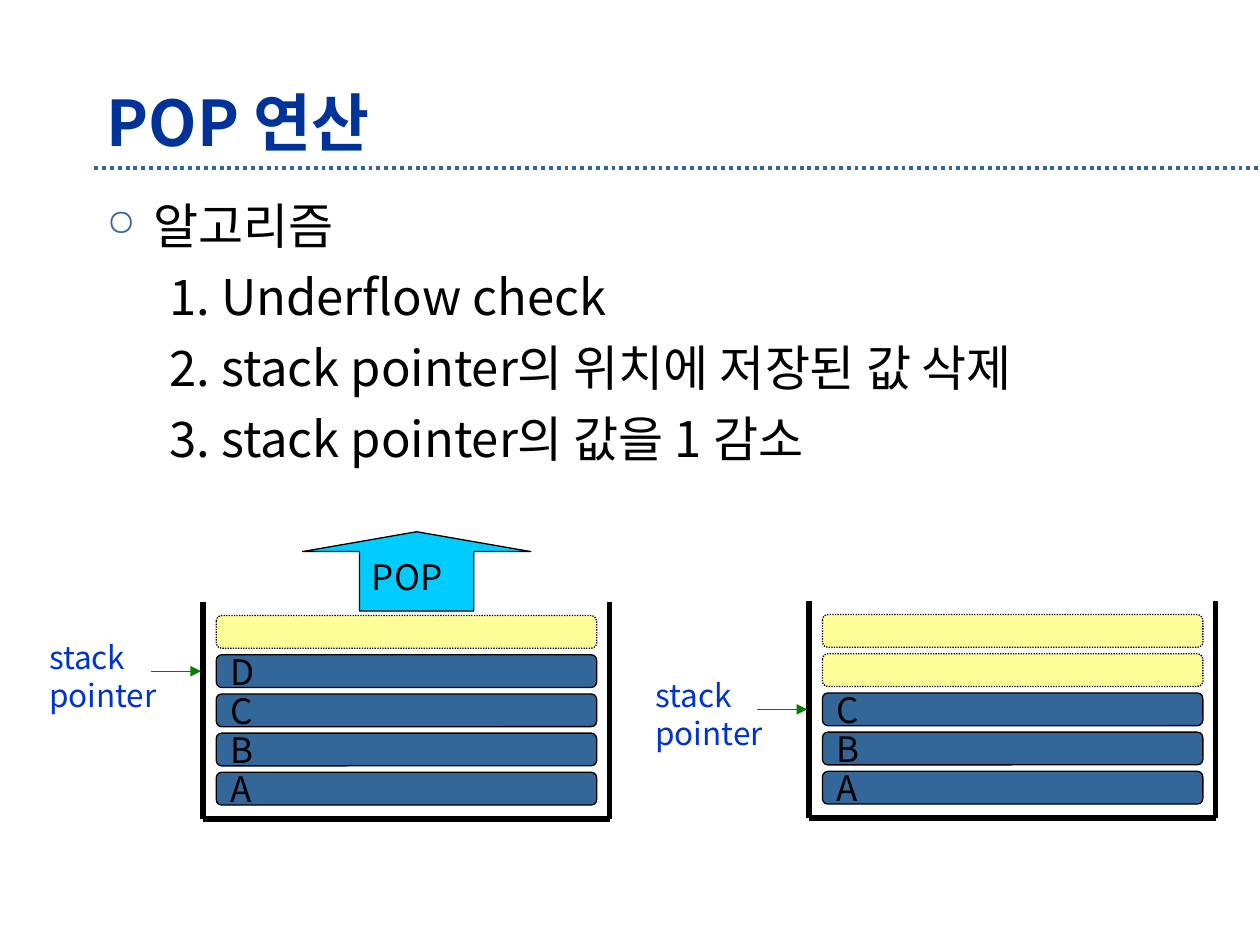
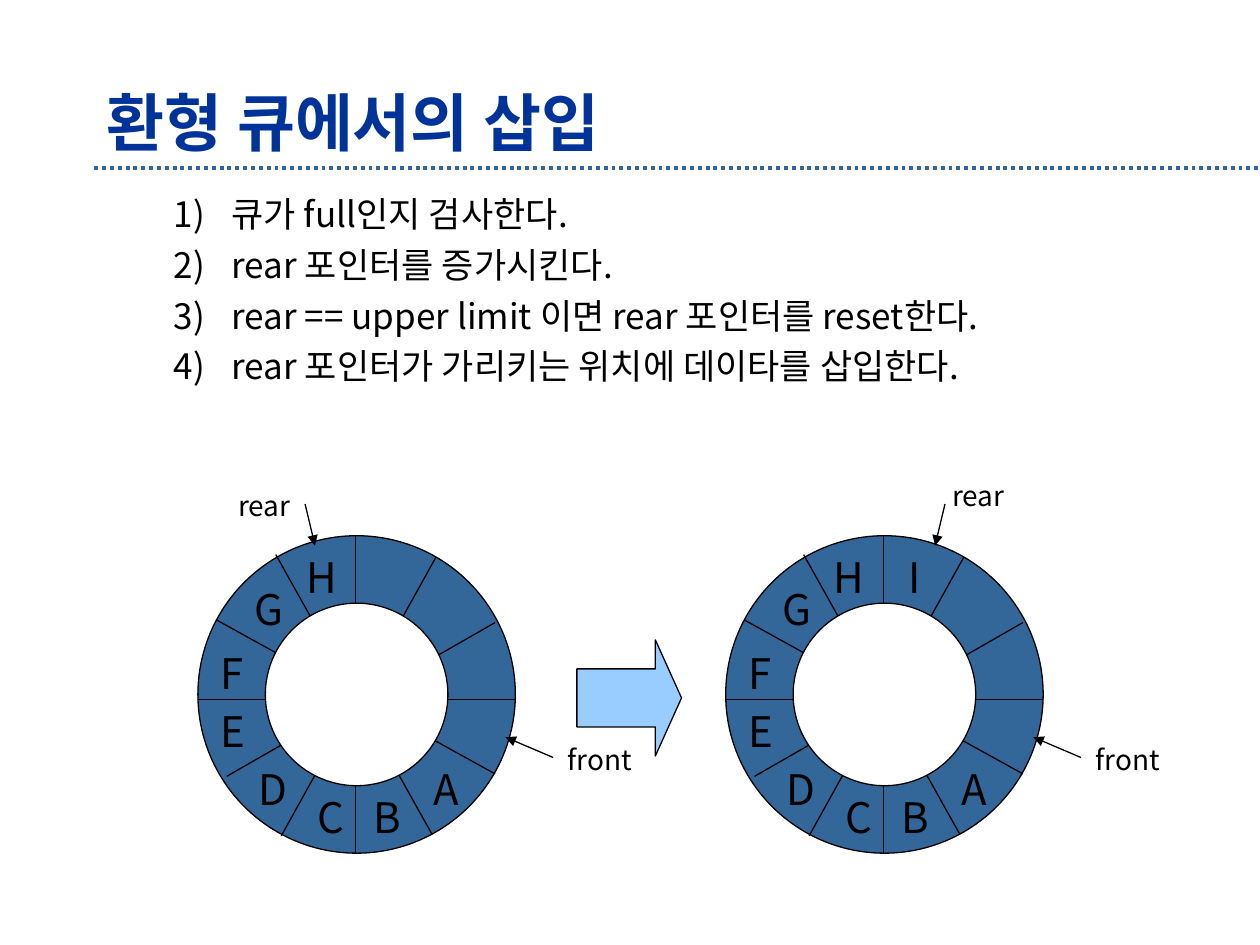
import dataclasses

import lxml.etree
import pptx
import pptx.dml.color
import pptx.enum.dml
import pptx.enum.shapes
import pptx.enum.text
import pptx.oxml.ns
import pptx.util

Cm = pptx.util.Cm
Pt = pptx.util.Pt
qn = pptx.oxml.ns.qn
SHAPE = pptx.enum.shapes.MSO_SHAPE
ANCHOR = pptx.enum.text.MSO_ANCHOR
DOTTED = pptx.enum.dml.MSO_LINE.ROUND_DOT
TITLE_ONLY = 5


@dataclasses.dataclass(frozen=True)
class Theme:
    """Colours, font, type sizes and line widths of the deck."""
    font: str = "Noto Sans CJK KR"
    ink: str = "000000"
    paper: str = "FFFFFF"
    title: str = "003399"
    steel: str = "336699"
    empty: str = "FFFF99"
    pop: str = "00CCFF"
    step: str = "99CCFF"
    pointer_text: str = "0033CC"
    pointer_line: str = "008000"
    title_size: float = 36
    body_size: float = 28
    letter_size: float = 24
    item_size: float = 20
    pointer_size: float = 18
    label_size: float = 16
    thin: float = 0.74
    rule: float = 2.24
    thick: float = 3


def rgb(colour):
    """Turn a hex string into a colour."""
    return pptx.dml.color.RGBColor.from_string(colour)


def add_node(parent, tag, **attributes):
    """Append a drawing element with attributes to a parent."""
    return lxml.etree.SubElement(parent, qn(tag), **attributes)


class Painter:
    """Holds the theme and the current page, and draws on it in centimetres."""

    def __init__(self, deck, theme):
        """Remember the deck and its theme."""
        self.deck, self.theme, self.page = deck, theme, None

    def start_page(self, title):
        """Add a page with its title and the dotted rule below it."""
        theme = self.theme
        self.page = self.deck.slides.add_slide(self.deck.slide_layouts[TITLE_ONLY])
        box = self.page.shapes.title
        box.left, box.top, box.width, box.height = Cm(1.9), Cm(1.7), Cm(21.8), Cm(1.48)
        self.set_text(box, [title], theme.title_size, theme.title, bold=True)
        box.text_frame.vertical_anchor = ANCHOR.MIDDLE
        self.line((1.9, 3.38), (25.4, 3.38), theme.steel, theme.rule, dash=DOTTED)

    def set_text(self, box, lines, size, colour, bold=False):
        """Fill a box with left-aligned paragraphs and return its frame."""
        frame = box.text_frame
        frame.text = "\n".join(lines)
        frame.auto_size = pptx.enum.text.MSO_AUTO_SIZE.NONE
        frame.word_wrap = True
        for para in frame.paragraphs:
            para.alignment = pptx.enum.text.PP_ALIGN.LEFT
            para.font.size, para.font.bold = Pt(size), bold
            para.font.color.rgb = rgb(colour)
            para.font.name = self.theme.font
            add_node(para._p.pPr.find(qn("a:defRPr")), "a:ea", typeface=self.theme.font)
        return frame

    def text_box(self, left, top, width, height, lines, size, colour=None):
        """Add a wrapping text box and return its frame."""
        box = self.page.shapes.add_textbox(Cm(left), Cm(top), Cm(width), Cm(height))
        return self.set_text(box, lines, size, colour or self.theme.ink)

    def label(self, left, top, width, height, lines, size, colour=None):
        """Add a short text that fits its box and never wraps."""
        frame = self.text_box(left, top, width, height, lines, size, colour)
        frame.word_wrap = False
        frame.auto_size = pptx.enum.text.MSO_AUTO_SIZE.SHAPE_TO_FIT_TEXT

    def indent(self, para, left, hanging, before, level=0):
        """Set level, hanging indent and space before a paragraph."""
        para.level, para.space_before = level, Pt(before)
        para._p.pPr.set("marL", str(Cm(left)))
        para._p.pPr.set("indent", str(-Cm(hanging)))

    def bullet(self, para, colour, tag, percent=100, **attributes):
        """Give a paragraph a bullet sign or a number."""
        properties = para._p.pPr
        font = properties.find(qn("a:defRPr"))
        tint = add_node(properties, "a:buClr")
        add_node(tint, "a:srgbClr", val=colour)
        add_node(properties, "a:buSzPct", val=str(percent * 1000))
        add_node(properties, tag, **attributes)
        properties.append(font)

    def shape(self, kind, left, top, width, height, fill, text="", dash=None):
        """Add an outlined preset shape, with text if any."""
        box = self.page.shapes.add_shape(kind, Cm(left), Cm(top), Cm(width), Cm(height))
        box.shadow.inherit = False
        box.fill.solid()
        box.fill.fore_color.rgb = rgb(fill)
        box.line.color.rgb = rgb(self.theme.ink)
        box.line.width = Pt(self.theme.thin)
        if dash:
            box.line.dash_style = dash
        if text:
            self.set_text(box, [text], self.theme.item_size, self.theme.ink)
            box.text_frame.vertical_anchor = ANCHOR.MIDDLE
        return box

    def block_arrow(self, kind, left, top, width, height, fill, text=""):
        """Add a block arrow with a short head."""
        box = self.shape(kind, left, top, width, height, fill, text)
        box.adjustments[0], box.adjustments[1] = 0.5, 0.25

    def line(self, start, end, colour=None, width=None, dash=None, arrow=False):
        """Add a straight line, with an arrowhead at its end if asked."""
        line = self.page.shapes.add_connector(
            pptx.enum.shapes.MSO_CONNECTOR.STRAIGHT, *map(Cm, start + end))
        line.line.color.rgb = rgb(colour or self.theme.ink)
        line.line.width = Pt(width or self.theme.thin)
        if dash:
            line.line.dash_style = dash
        properties = line._element.spPr
        if arrow:
            add_node(properties.find(qn("a:ln")), "a:tailEnd", type="triangle")
        add_node(properties, "a:effectLst")

    def stack(self, left, top, items, slots=5):
        """Draw a stack, items from the top down, and its stack pointer."""
        theme = self.theme
        right, bottom = left + 8.2, top + 4.37
        corners = [(left, top), (left, bottom), (right, bottom), (right, top)]
        for start, end in zip(corners, corners[1:]):
            self.line(start, end, width=theme.thick)

        pitch, height, inset = 0.79, 0.66, 0.27
        free = slots - len(items)
        for slot in range(slots):
            place = (left + inset, top + inset + slot * pitch, 7.67, height)
            if slot < free:
                self.shape(SHAPE.ROUNDED_RECTANGLE, *place, theme.empty, dash=DOTTED)
            else:
                self.shape(SHAPE.ROUNDED_RECTANGLE, *place, theme.steel, items[slot - free])

        level = top + inset + free * pitch + height / 2
        self.line((left - 1.05, level), (left - 0.04, level), theme.pointer_line, arrow=True)
        self.label(left - 3.35, level - 0.79, 2.69, 1.78, ["stack", "pointer"],
                   theme.pointer_size, theme.pointer_text)

    def ring(self, left, top, letters, rear_label, rear_tail, rear_tip):
        """Draw a circular queue with its front and rear pointers."""
        theme = self.theme

        def at(point):
            """Move a point of the ring to its place on the page."""
            return left + point[0], top + point[1]

        self.shape(SHAPE.OVAL, left, top, 6.4, 6.4, theme.steel)
        for start, end in RING_CUTS:
            self.line(at(start), at(end))
        self.shape(SHAPE.OVAL, *at((1.36, 1.36)), 3.68, 3.68, theme.paper)
        for letter in letters:
            x, y, width = RING_CELLS[letter]
            self.label(*at((x, y)), width, 1.27, [letter], theme.letter_size)
        self.line(at((7.16, 4.47)), at((6.2, 4.06)), arrow=True)
        self.label(*at((7.21, 4.04)), 1.83, 0.94, ["front"], theme.label_size)
        self.line(at(rear_tail), at(rear_tip), arrow=True)
        self.label(*at(rear_label), 1.6, 0.94, ["rear"], theme.label_size)


# Lines that cut the ring into twelve cells, from its top left corner
RING_CUTS = [
    ((3.18, 0), (3.18, 6.4)),
    ((0, 3.3), (6.4, 3.3)),
    ((4.8, 0.43), (1.68, 6.05)),
    ((5.99, 1.75), (0.58, 4.85)),
    ((1.57, 0.38), (4.72, 6.02)),
    ((0.38, 1.7), (5.99, 4.8)),
]

# Left, top and width of each letter in the ring
RING_CELLS = {
    "A": (4.5, 4.47, 1.04), "B": (3.3, 5.03, 1.04), "C": (2.16, 5.03, 1.04),
    "D": (0.97, 4.47, 1.12), "E": (0.2, 3.3, 0.97), "F": (0.2, 2.13, 0.94),
    "G": (0.89, 0.84, 1.12), "H": (1.93, 0.2, 1.12), "I": (3.43, 0.2, 0.79),
}


def draw_pop(painter):
    """Draw the page on the POP operation."""
    theme = painter.theme
    painter.start_page("POP 연산")
    heading, *steps = painter.text_box(1.9, 3.81, 22.02, 13.13, [
        "알고리즘",
        "1. Underflow check",
        "2. stack pointer의 위치에 저장된 값 삭제",
        "3. stack pointer의 값을 1 감소",
    ], theme.body_size).paragraphs
    painter.indent(heading, 0.95, 0.95, before=7)
    painter.bullet(heading, theme.steel, "a:buChar", percent=75, char="○")
    for para in steps:
        painter.indent(para, 2.06, 0.79, before=7, level=1)
    painter.stack(16.31, 12.12, "CBA")
    painter.stack(4.09, 12.14, "DCBA")
    painter.block_arrow(SHAPE.UP_ARROW, 6.1, 10.72, 4.6, 1.6, theme.pop, "POP")


def draw_circular_insert(painter):
    """Draw the page on inserting into a circular queue."""
    theme = painter.theme
    painter.start_page("환형 큐에서의 삽입")
    steps = painter.text_box(1.98, 3.76, 21.6, 11.43, [
        "큐가 full인지 검사한다.",
        "rear 포인터를 증가시킨다.",
        "rear == upper limit 이면 rear 포인터를 reset한다.",
        "rear 포인터가 가리키는 위치에 데이타를 삽입한다.",
    ], theme.item_size).paragraphs
    for para in steps:
        painter.indent(para, 2.44, 1.17, before=5, level=1)
        painter.bullet(para, theme.ink, "a:buAutoNum", type="arabicParenR")
    painter.ring(3.99, 10.8, "ABCDEFGH", (0.56, -1.07), (2.16, -0.64), (2.36, 0.2))
    painter.ring(14.63, 10.8, "ABCDEFGHI", (4.32, -1.27), (4.42, -0.64), (4.22, 0.2))
    painter.block_arrow(SHAPE.RIGHT_ARROW, 11.63, 12.9, 2.11, 2.34, theme.step)


def main():
    """Build the deck and save it."""
    deck = pptx.Presentation()
    deck.slide_width, deck.slide_height = Cm(25.4), Cm(19.05)
    painter = Painter(deck, Theme())
    draw_pop(painter)
    draw_circular_insert(painter)
    deck.save("out.pptx")


main()
